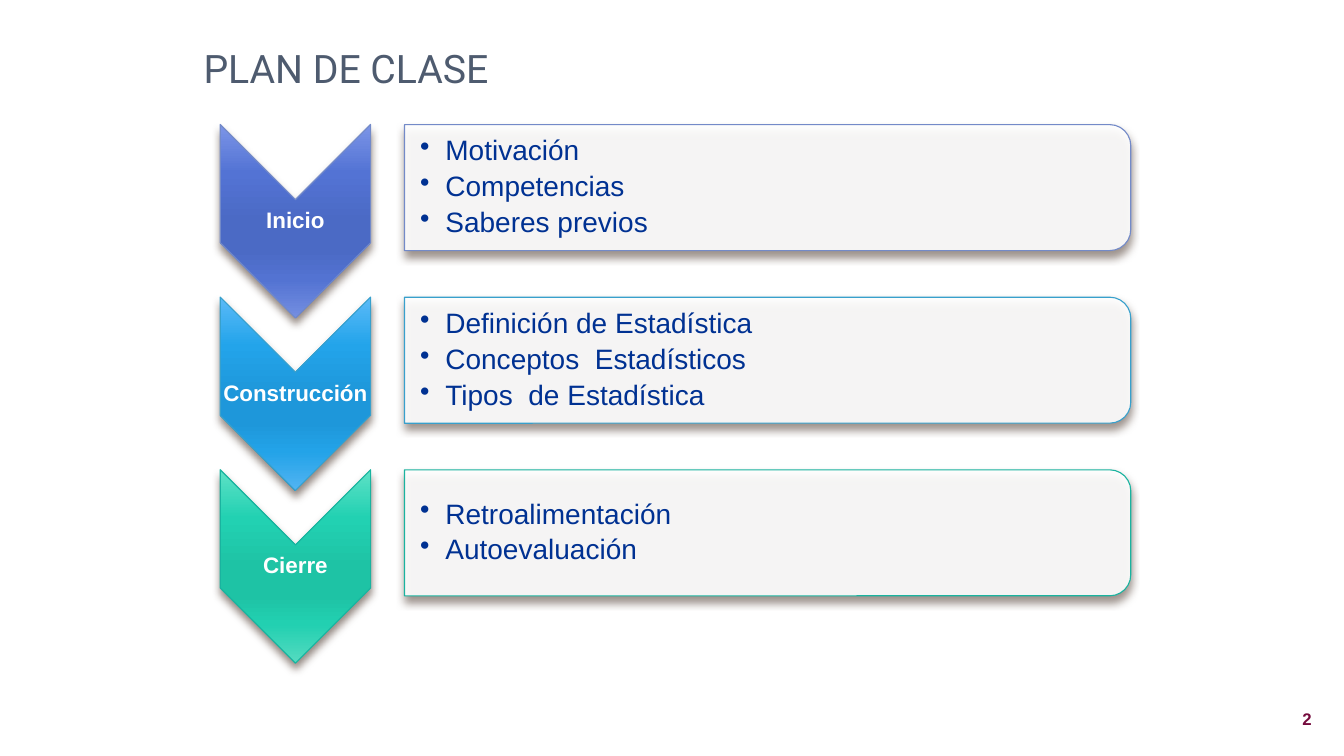
from dataclasses import dataclass

from pptx import Presentation
from pptx.dml.color import RGBColor
from pptx.enum.shapes import MSO_SHAPE
from pptx.enum.text import MSO_ANCHOR, PP_ALIGN
from pptx.oxml import parse_xml
from pptx.oxml.ns import nsdecls
from pptx.util import Pt

CHEVRON, ROUNDED_BOX = MSO_SHAPE.CHEVRON, MSO_SHAPE.ROUND_2_SAME_RECTANGLE
LEFT, CENTER, RIGHT = PP_ALIGN.LEFT, PP_ALIGN.CENTER, PP_ALIGN.RIGHT
TOP, MIDDLE = MSO_ANCHOR.TOP, MSO_ANCHOR.MIDDLE
TITLE_ONLY = 5


@dataclass(frozen=True)
class Theme:
    title: str = "4E5B6F"
    label: str = "FFFFFF"
    bullet: str = "003192"
    number: str = "750B3D"
    box: str = "FFFFFF"
    shadow: str = "4E3B30"
    title_size: float = 28
    label_size: float = 16
    bullet_size: float = 20
    number_size: float = 12
    line_width: float = 0.79


THEME = Theme()
TITLE_FONT = {"name": "Roboto", "size": Pt(THEME.title_size), "bold": False}
LABEL_FONT = {"name": "Arial", "size": Pt(THEME.label_size), "bold": True}
BULLET_FONT = {"name": "Arial", "size": Pt(THEME.bullet_size), "bold": False}
NUMBER_FONT = {"name": "Arial", "size": Pt(THEME.number_size), "bold": True}

# Stage name, outline colour, gradient colours, bullet lines
STAGES = [
    ("Inicio", "738AC8",
     ["7C95E7", "5373D4", "4B6AC5", "4B6AC5", "5373D2", "748EE1"],
     ["Motivación", "Competencias", "Saberes previos"]),
    ("Construcción", "38A0CC",
     ["5BBAF8", "23A4EA", "1E97DA", "1E97DA", "23A3E8", "52B4F2"],
     ["Definición de Estadística", "Conceptos  Estadísticos", "Tipos  de Estadística"]),
    ("Cierre", "1AB39F",
     ["5EE1C6", "22D1B2", "1EC3A5", "1EC3A5", "22D0B1", "55DBC0"],
     ["Retroalimentación", "Autoevaluación"]),
]
GRADIENT_STOPS = [0, 25, 50, 65, 80, 100]
STAGE_PITCH = 123.3
CHEVRON_CENTER = (211, 158)
BOX_CENTER = (548.3, 134)


def set_attributes(target, values):
    for name, value in values.items():
        setattr(target, name, value)


def write_lines(frame, lines, font, color, alignment=LEFT, spacing=None):
    for index, line in enumerate(lines):
        paragraph = frame.paragraphs[0] if index == 0 else frame.add_paragraph()
        set_attributes(paragraph, {"alignment": alignment, **(spacing or {})})
        run = paragraph.add_run()
        run.text = line
        set_attributes(run.font, font)
        run.font.color.rgb = RGBColor.from_string(color)


def add_text(slide, left, top, width, height, anchor, margins):
    frame = slide.shapes.add_textbox(Pt(left), Pt(top), Pt(width), Pt(height)).text_frame
    sides = ("margin_left", "margin_top", "margin_right", "margin_bottom")
    set_attributes(frame, {"word_wrap": True, "vertical_anchor": anchor,
                           **{side: Pt(margin) for side, margin in zip(sides, margins)}})
    return frame


def add_bullets(frame):
    for paragraph in frame.paragraphs:
        properties = paragraph._p.get_or_add_pPr()
        properties.set("marL", str(Pt(18)))
        properties.set("indent", str(-Pt(18)))
        properties.append(parse_xml(f'<a:buChar {nsdecls("a")} char="•"/>'))


def add_turned_shape(slide, kind, center, length, breadth, line_color):
    """Add a preset shape turned a quarter clockwise, with a soft shadow below."""
    x, y = center
    shape = slide.shapes.add_shape(kind, Pt(x - length / 2), Pt(y - breadth / 2),
                                   Pt(length), Pt(breadth))
    shape.rotation = 90
    shape.line.color.rgb = RGBColor.from_string(line_color)
    shape.line.width = Pt(THEME.line_width)
    shape._element.spPr.append(parse_xml(
        f'<a:effectLst {nsdecls("a")}><a:outerShdw blurRad="{Pt(6)}" dist="{Pt(4)}" '
        f'dir="5400000" rotWithShape="0"><a:srgbClr val="{THEME.shadow}">'
        '<a:alpha val="60000"/></a:srgbClr></a:outerShdw></a:effectLst>'))
    return shape


def fill_gradient(shape, colors):
    stops = "".join(f'<a:gs pos="{stop * 1000}"><a:srgbClr val="{color}"/></a:gs>'
                    for stop, color in zip(GRADIENT_STOPS, colors))
    shape._element.spPr.insert(2, parse_xml(
        f'<a:gradFill {nsdecls("a")} rotWithShape="0"><a:gsLst>{stops}</a:gsLst>'
        '<a:lin ang="5400000" scaled="0"/></a:gradFill>'))


def fill_translucent(shape, color, alpha):
    shape.fill.solid()
    shape.fill.fore_color.rgb = RGBColor.from_string(color)
    color_element = shape._element.spPr.find(".//{*}solidFill/{*}srgbClr")
    color_element.append(parse_xml(f'<a:alpha {nsdecls("a")} val="{alpha * 1000}"/>'))


def add_stage(slide, offset, name, line_color, colors, lines):
    # Arrow with its label
    x, y = CHEVRON_CENTER[0], CHEVRON_CENTER[1] + offset
    chevron = add_turned_shape(slide, CHEVRON, (x, y), 138.2, 107.4, line_color)
    fill_gradient(chevron, colors)
    label = add_text(slide, x - 53.7, y - 15.5, 107.4, 31, MIDDLE, (0.8,) * 4)
    write_lines(label, [name], LABEL_FONT, THEME.label, CENTER, {"line_spacing": 0.9})

    # Box with its bullet lines
    x, y = BOX_CENTER[0], BOX_CENTER[1] + offset
    box = add_turned_shape(slide, ROUNDED_BOX, (x, y), 90, 518.8, line_color)
    fill_translucent(box, THEME.box, 90)
    content = add_text(slide, x - 259.4, y - 40.6, 514.4, 81.2, MIDDLE, (11.2, 0.8, 0.8, 0.8))
    write_lines(content, lines, BULLET_FONT, THEME.bullet,
                spacing={"line_spacing": 0.9, "space_after": Pt(4)})
    add_bullets(content)


def add_title(slide, text):
    title = slide.shapes.title
    set_attributes(title, {"left": Pt(138.2), "top": Pt(15.1),
                           "width": Pt(684), "height": Pt(66.2)})
    title.text_frame.vertical_anchor = MIDDLE
    write_lines(title.text_frame, [text], TITLE_FONT, THEME.title)


def main():
    presentation = Presentation()
    presentation.slide_width, presentation.slide_height = Pt(960), Pt(540)
    slide = presentation.slides.add_slide(presentation.slide_layouts[TITLE_ONLY])

    add_title(slide, "PLAN DE CLASE")
    for index, stage in enumerate(STAGES):
        add_stage(slide, index * STAGE_PITCH, *stage)

    # Page number
    number = add_text(slide, 864, 502.6, 80, 19.4, TOP, (7.2, 3.6, 7.2, 3.6))
    write_lines(number, ["2"], NUMBER_FONT, THEME.number, RIGHT)
    presentation.save("out.pptx")


if __name__ == "__main__":
    main()
